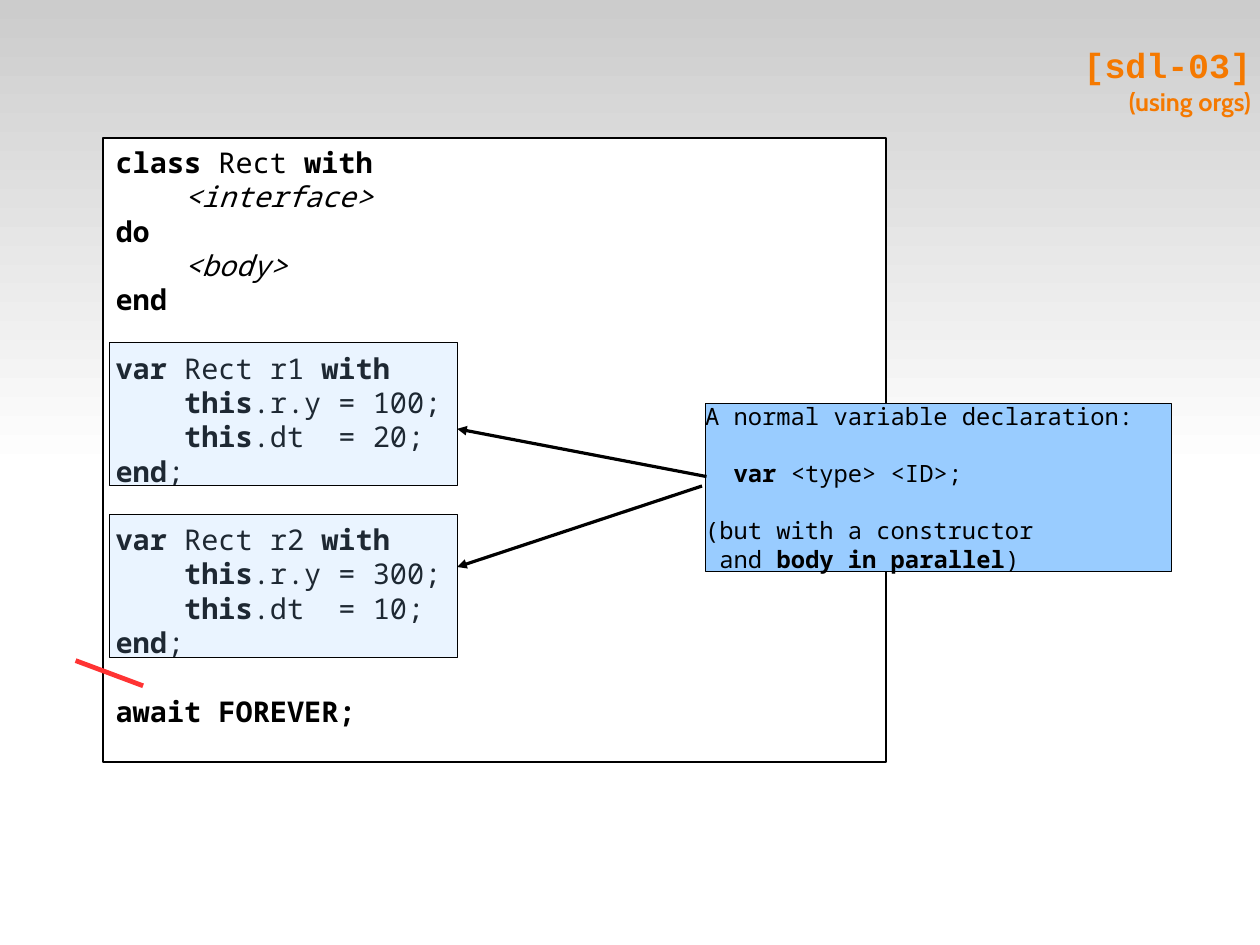
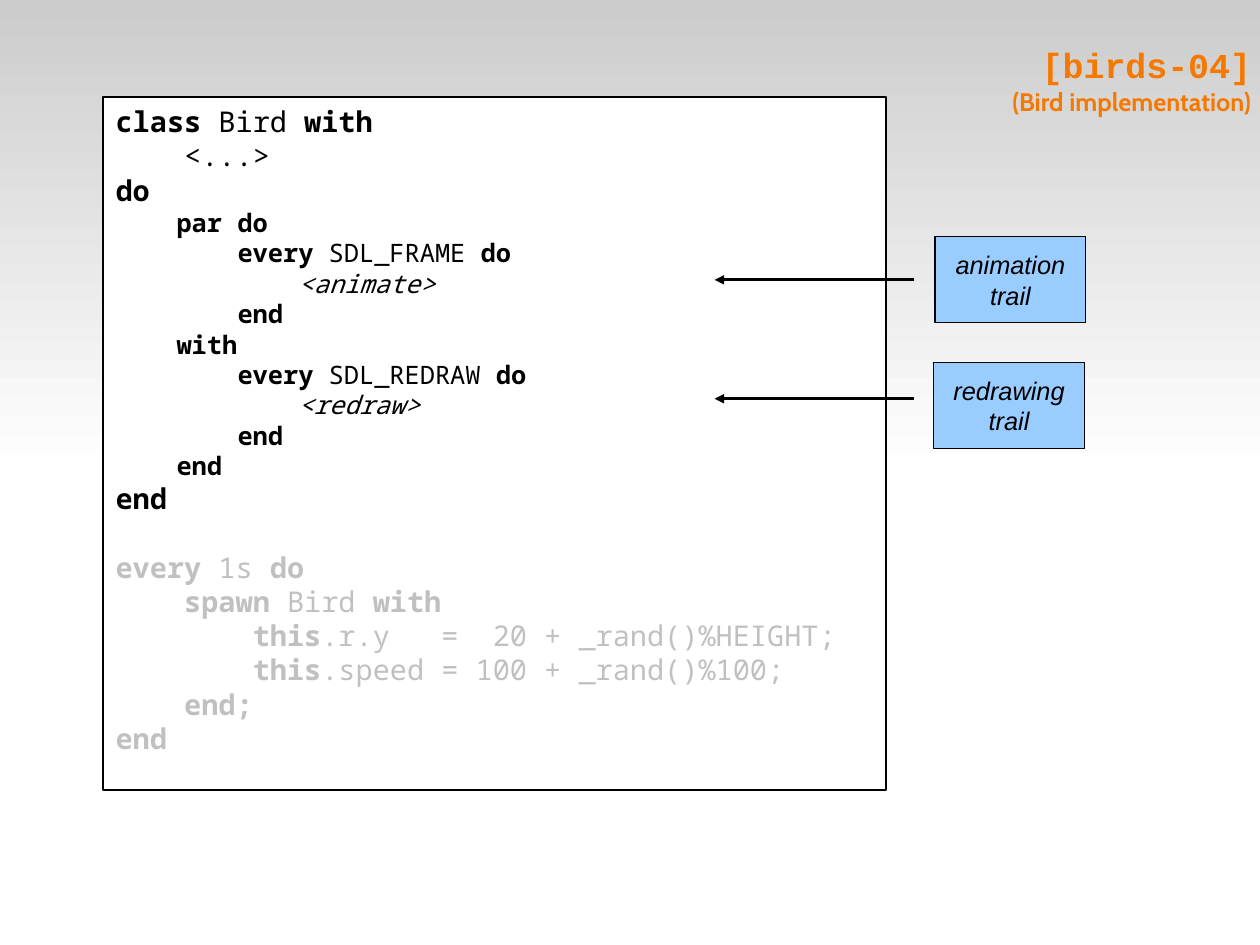
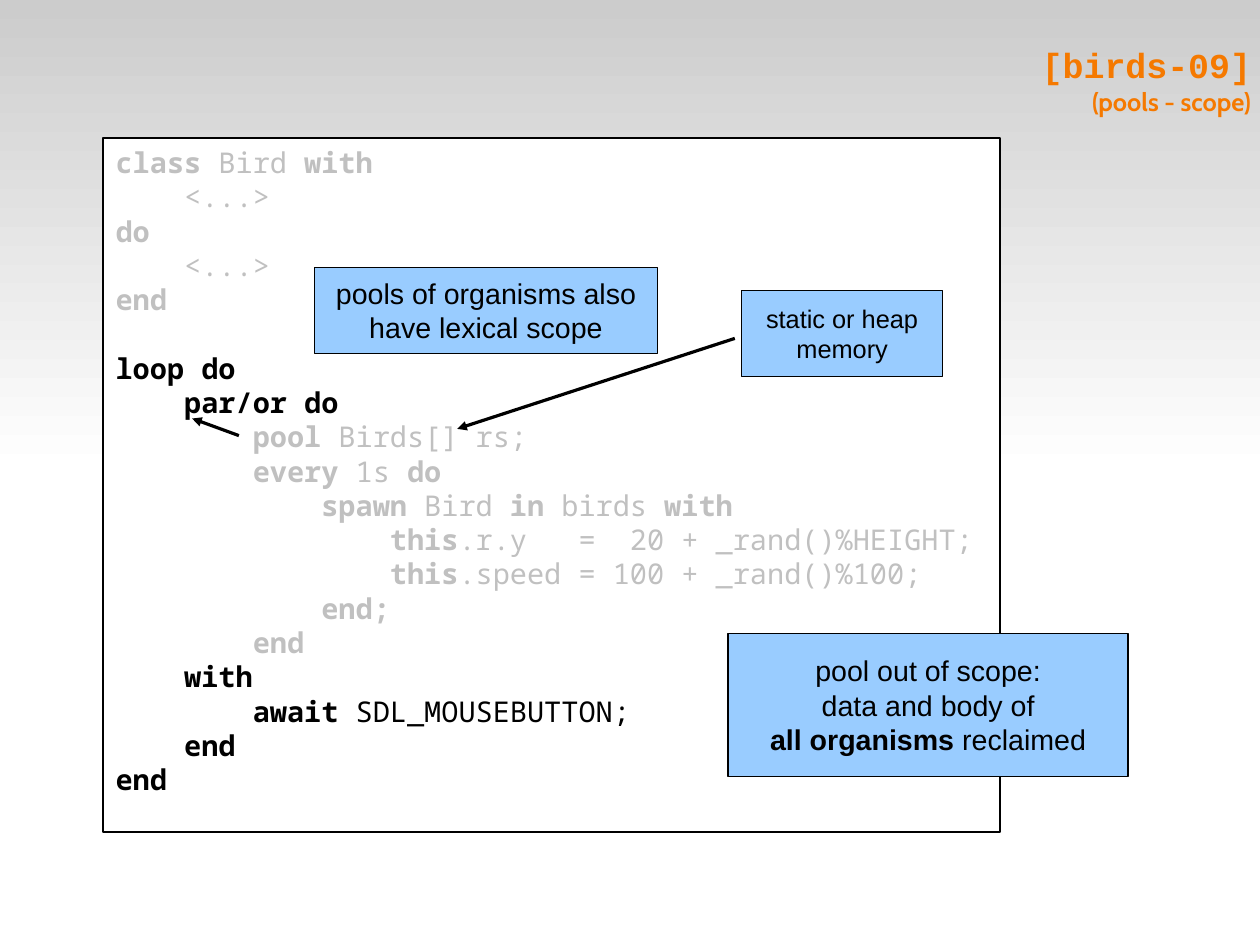
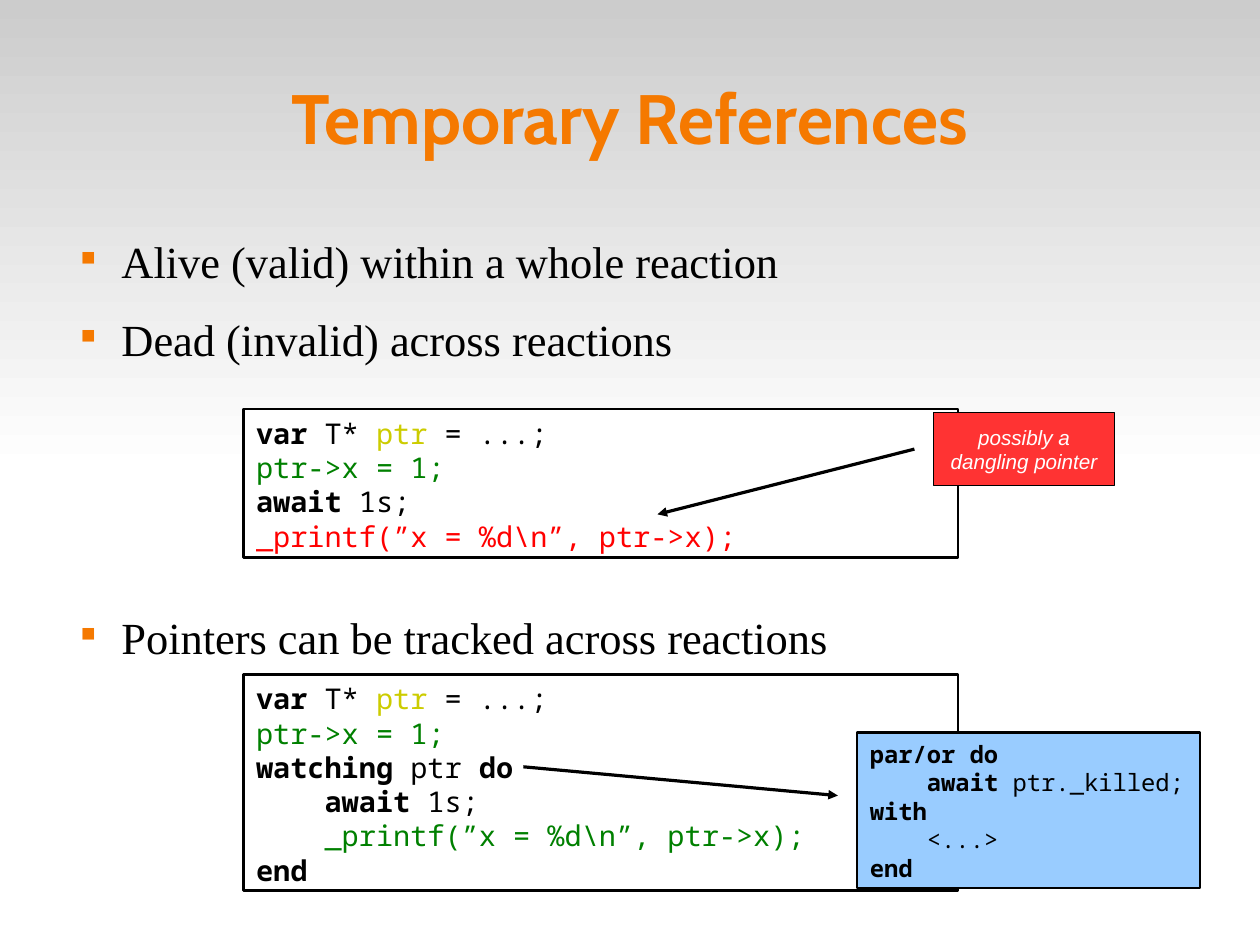
from lxml.etree import SubElement
from pptx import Presentation
from pptx.dml.color import RGBColor
from pptx.enum.shapes import MSO_CONNECTOR, MSO_SHAPE
from pptx.enum.text import MSO_ANCHOR, PP_ALIGN
from pptx.oxml.ns import qn
from pptx.util import Cm, Pt

# Shared style
BLACK, WHITE, GREY = "000000", "FFFFFF", "C0C0C0"
ORANGE, BLUE, RED = "F57900", "99CCFF", "FF3333"
GREEN, YELLOW, CODE_RED = "008000", "CCCC00", "FF0000"
MONO, SANS, SERIF, HEADING, COURIER = (
    "Noto Sans Mono", "Arial", "Times New Roman", "Cabin", "Courier New")
CODE_INSETS = (0.28, 0.15)
NOTE_INSETS = (0.25, 0.13)
LINE_HEIGHT = 1.2   # code line height, in ems
CHAR_WIDTH = 0.6    # code character width, in ems

# Code listings: ` toggles bold, ~ italic, ^ yellow
RECT_CODE = """`class` Rect `with`
    ~<interface>~
`do`
    ~<body>~
`end`

`var` Rect r1 `with`
    `this`.r.y = 100;
    `this`.dt  = 20;
`end`;

`var` Rect r2 `with`
    `this`.r.y = 300;
    `this`.dt  = 10;
`end`;

`await FOREVER;`"""

DECLARATION = """A normal variable declaration:

  `var` <type> <ID>;

(but with a constructor
 and `body in parallel`)"""

BIRD_HEAD = """`class` Bird `with`
    <...>
`do`"""

BIRD_TRAILS = """    `par do`
        `every` SDL_FRAME `do`
            ~<animate>~
        `end`
    `with`
        `every` SDL_REDRAW `do`
            ~<redraw>~
        `end`
    `end`"""

SPAWN_LOOP = """
`every` 1s `do`
    `spawn` Bird `with`
        `this`.r.y   =  20 + _rand()%HEIGHT;
        `this`.speed = 100 + _rand()%100;
    `end;`
`end`"""

POOL_HEAD = """
`loop do`
    `par/or do`"""

POOL_LOOP = """        `pool` Birds[] rs;
        `every` 1s `do`
            `spawn` Bird `in` birds `with`
                `this`.r.y   =  20 + _rand()%HEIGHT;
                `this`.speed = 100 + _rand()%100;
            `end;`
        `end`"""

POOL_TAIL = """    `with`
        `await` SDL_MOUSEBUTTON;
    `end`
`end`"""

POINTER = "`var` T* ^ptr^ = ...;"
ASSIGN = "ptr->x = 1;"
PRINT = r"_printf(”x = %d\n”, ptr->x);"

KILLED = """`par/or do`
    `await` ptr._killed;
`with`
    <...>
`end`"""


def rgb(value):
    return RGBColor.from_string(value)


# Text
def add_paragraph(tf):
    return tf.add_paragraph() if tf.text else tf.paragraphs[0]


def add_runs(p, text, font=SANS, size=18, color=BLACK, bold=False,
             italic=False, align=PP_ALIGN.LEFT):
    p.alignment = align
    on = {"`": bold, "~": italic, "^": False}
    piece = ""
    for char in text + "\0":
        if char not in on and char != "\0":
            piece += char
            continue
        if piece:
            r = p.add_run()
            r.text = piece
            r.font.name, r.font.size = font, Pt(size)
            r.font.bold, r.font.italic = on["`"], on["~"]
            r.font.color.rgb = rgb(YELLOW if on["^"] else color)
            piece = ""
        if char in on:
            on[char] = not on[char]


def add_text(tf, text, **fmt):
    for line in text.split("\n"):
        add_runs(add_paragraph(tf), line, **fmt)


def add_code(tf, text, size=18, color=BLACK):
    """Leading spaces become an indent; an empty line becomes a gap."""
    gap = 0
    for line in text.split("\n"):
        if not line:
            gap += LINE_HEIGHT * size
            continue
        code = line.lstrip()
        p = add_paragraph(tf)
        p.line_spacing = Pt(LINE_HEIGHT * size)
        p.space_before = Pt(gap)
        indent = (len(line) - len(code)) * CHAR_WIDTH * size
        p._p.get_or_add_pPr().set("marL", str(int(Pt(indent))))
        add_runs(p, code, font=MONO, size=size, color=color)
        gap = 0


def setup_frame(tf, insets=(0, 0), anchor=MSO_ANCHOR.TOP):
    tf.word_wrap = True
    tf.vertical_anchor = anchor
    tf.margin_left = tf.margin_right = Cm(insets[0])
    tf.margin_top = tf.margin_bottom = Cm(insets[1])
    return tf


def text_box(s, box, **frame):
    return setup_frame(s.shapes.add_textbox(*map(Cm, box)).text_frame, **frame)


# Shapes and lines
def add_box(s, box, fill=BLUE, line=0, alpha=None):
    sp = s.shapes.add_shape(MSO_SHAPE.RECTANGLE, *map(Cm, box))
    sp.shadow.inherit = False
    sp.fill.solid()
    sp.fill.fore_color.rgb = rgb(fill)
    if alpha is not None:
        clr = sp.fill._xPr.find(".//" + qn("a:srgbClr"))
        SubElement(clr, qn("a:alpha")).set("val", str(alpha * 1000))
    sp.line.color.rgb = rgb(BLACK)
    sp.line.width = Pt(line)
    return sp


def code_box(s, box, *blocks, fill=WHITE, line=1.45, insets=CODE_INSETS,
             anchor=MSO_ANCHOR.TOP):
    """Each block is a pair of listing and format."""
    tf = setup_frame(add_box(s, box, fill, line).text_frame, insets, anchor)
    for text, fmt in blocks:
        add_code(tf, text, **fmt)


def note(s, box, text, fill=BLUE, **fmt):
    tf = setup_frame(add_box(s, box, fill).text_frame, NOTE_INSETS,
                     MSO_ANCHOR.MIDDLE)
    add_text(tf, text, align=PP_ALIGN.CENTER, **fmt)


def add_line(s, start, end, color=BLACK, width=0, arrow=True):
    c = s.shapes.add_connector(MSO_CONNECTOR.STRAIGHT,
                               *map(Cm, (*start, *end)))
    c.line.color.rgb = rgb(color)
    c.line.width = Pt(width)
    if arrow:
        SubElement(c.line._get_or_add_ln(), qn("a:tailEnd")).set(
            "type", "triangle")
    SubElement(c._element.spPr, qn("a:effectLst"))


# Slide furniture
def new_slide(prs):
    s = prs.slides.add_slide(prs.slide_layouts[6])
    band = add_box(s, (0, 0, 28, 10.5))
    band.line.fill.background()
    band.fill.gradient()
    band.fill.gradient_angle = 270
    for stop, color in zip(band.fill.gradient_stops, ("CCCCCC", WHITE)):
        stop.color.rgb = rgb(color)
    return s


def corner_title(s, name, subtitle):
    tf = text_box(s, (2.6, 0.03, 25.2, 3.5), anchor=MSO_ANCHOR.MIDDLE)
    fmt = dict(color=ORANGE, bold=True, align=PP_ALIGN.RIGHT)
    add_text(tf, name, font=COURIER, size=22, **fmt)
    add_text(tf, subtitle, font=HEADING, size=16, **fmt)


def add_bullet(tf, text, before=0):
    p = add_paragraph(tf)
    p.space_before, p.space_after = Pt(before), Pt(15.6)
    add_runs(p, text, font=SERIF, size=28)
    pPr = p._p.get_or_add_pPr()
    pPr.set("marL", str(Cm(1.2)))
    pPr.set("indent", str(Cm(-0.9)))
    SubElement(SubElement(pPr, qn("a:buClr")), qn("a:srgbClr")).set(
        "val", ORANGE)
    SubElement(pPr, qn("a:buSzPct")).set("val", "45000")
    SubElement(pPr, qn("a:buChar")).set("char", "■")


# Slides
def rect_slide(prs):
    s = new_slide(prs)
    code_box(s, (2.29, 3.07, 17.4, 13.87), (RECT_CODE, {}))
    for top in (7.62, 11.43):
        add_box(s, (2.44, top, 7.72, 3.18), alpha=20)
    corner_title(s, "[sdl-03]", "(using orgs)")
    add_line(s, (1.68, 14.68), (3.18, 15.24), RED, 3, arrow=False)
    code_box(s, (15.67, 8.97, 10.36, 3.73), (DECLARATION, dict(size=15)),
             fill=BLUE, line=0, insets=(0, 0), anchor=MSO_ANCHOR.MIDDLE)
    add_line(s, (15.6, 10.8), (10.16, 12.6))
    add_line(s, (15.7, 10.59), (10.16, 9.53))


def trails_slide(prs):
    s = new_slide(prs)
    code_box(s, (2.29, 2.16, 17.4, 15.39), (BIRD_HEAD, {}),
             (BIRD_TRAILS, dict(size=16)), ("`end`", {}),
             (SPAWN_LOOP, dict(color=GREY)))
    corner_title(s, "[birds-04]", "(Bird implementation)")
    for left, top, text, arrow_y in ((20.78, 5.26, "animation\ntrail", 6.22),
                                     (20.75, 8.05, "redrawing\ntrail", 8.86)):
        note(s, (left, top, 3.35, 1.91), text, size=16, italic=True)
        add_line(s, (20.32, arrow_y), (15.88, arrow_y))


def pools_slide(prs):
    s = new_slide(prs)
    code_box(s, (2.29, 3.07, 19.94, 15.42),
             (BIRD_HEAD + "\n    <...>\n`end`", dict(color=GREY)),
             (POOL_HEAD, {}), (POOL_LOOP, dict(color=GREY)), (POOL_TAIL, {}))
    note(s, (6.99, 5.94, 7.62, 1.91),
         "pools of organisms also\nhave lexical scope")
    add_line(s, (5.31, 9.68), (4.27, 9.3))
    note(s, (16.18, 14.07, 8.89, 3.18),
         "pool out of scope:\ndata and body of\n`all organisms` reclaimed")
    corner_title(s, "[birds-09]", "(pools - scope)")
    note(s, (16.48, 6.45, 4.47, 1.91), "static or heap\nmemory", size=16)
    add_line(s, (16.33, 7.52), (10.16, 9.53))


def references_slide(prs):
    s = new_slide(prs)
    tf = text_box(s, (1.4, 0.84, 25.2, 3.5), anchor=MSO_ANCHOR.MIDDLE)
    add_text(tf, "Temporary References", font=HEADING, size=44, color=ORANGE,
             bold=True, align=PP_ALIGN.CENTER)
    tf = text_box(s, (1.5, 5.21, 23.27, 13.87))
    add_bullet(tf, "Alive (valid) within a whole reaction")
    add_bullet(tf, "Dead (invalid) across reactions")
    add_bullet(tf, "Pointers can be tracked across reactions", before=138)
    # Untracked and tracked pointer
    start = ((POINTER, {}), (ASSIGN, dict(color=GREEN)))
    code_box(s, (5.41, 9.09, 15.88, 3.3), *start, ("`await` 1s;", {}),
             (PRINT, dict(color=CODE_RED)))
    code_box(s, (5.41, 14.99, 15.88, 4.8), *start,
             ("`watching` ptr `do`\n    `await` 1s;", {}),
             ("    " + PRINT, dict(color=GREEN)), ("`end`", {}))
    code_box(s, (19.05, 16.28, 7.62, 3.45), (KILLED, dict(size=15)),
             fill=BLUE)
    add_line(s, (11.63, 17.04), (18.62, 17.68))
    note(s, (20.75, 9.17, 4.01, 1.63), "possibly a\ndangling pointer",
         fill=RED, size=13, color=WHITE, italic=True)
    add_line(s, (20.32, 9.98), (14.61, 11.43))


def main():
    prs = Presentation()
    prs.slide_width, prs.slide_height = Cm(28), Cm(21)
    for build in (rect_slide, trails_slide, pools_slide, references_slide):
        build(prs)
    prs.save("out.pptx")


if __name__ == "__main__":
    main()
